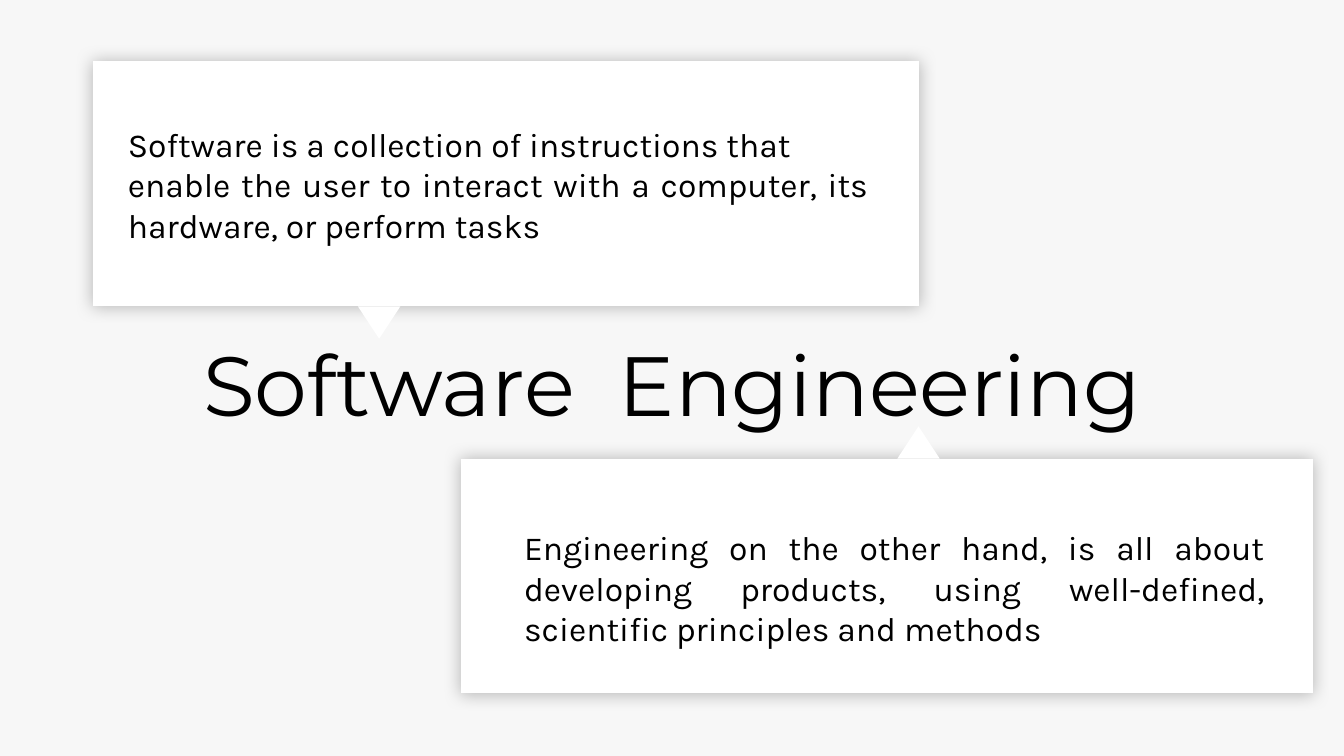
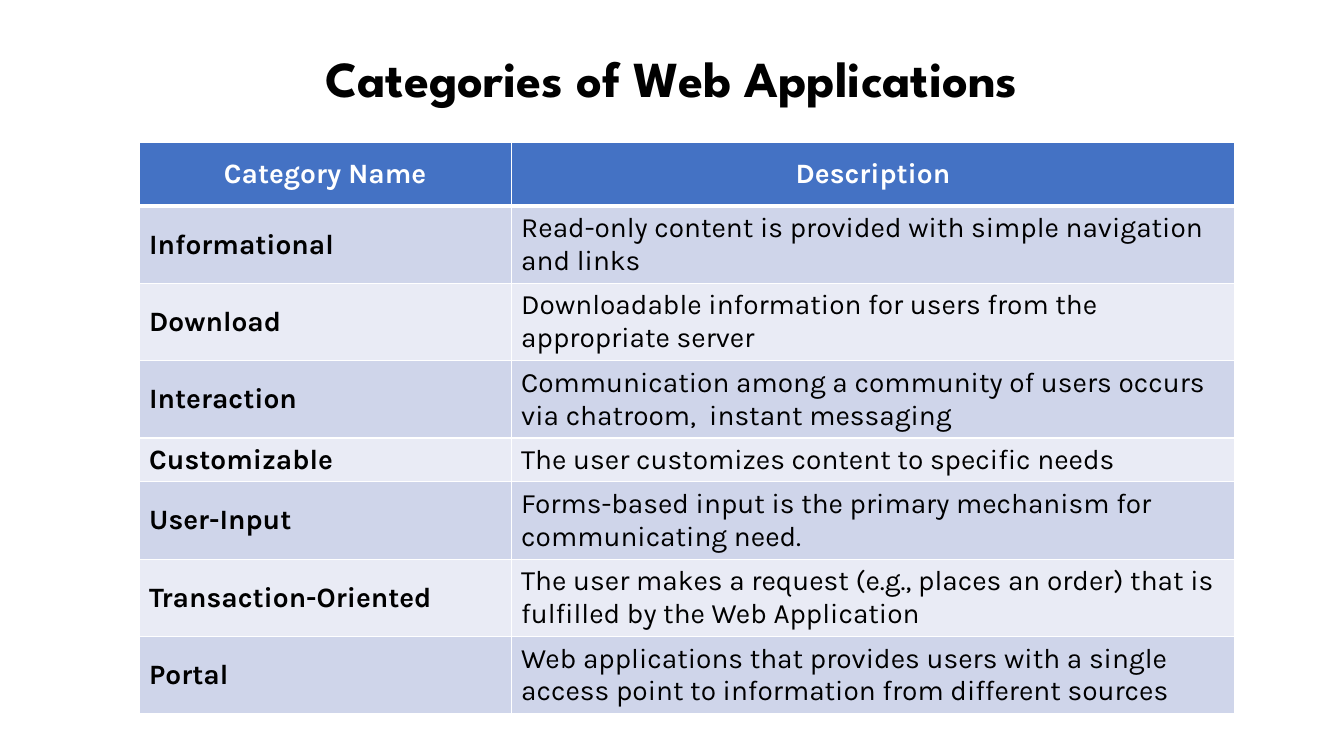
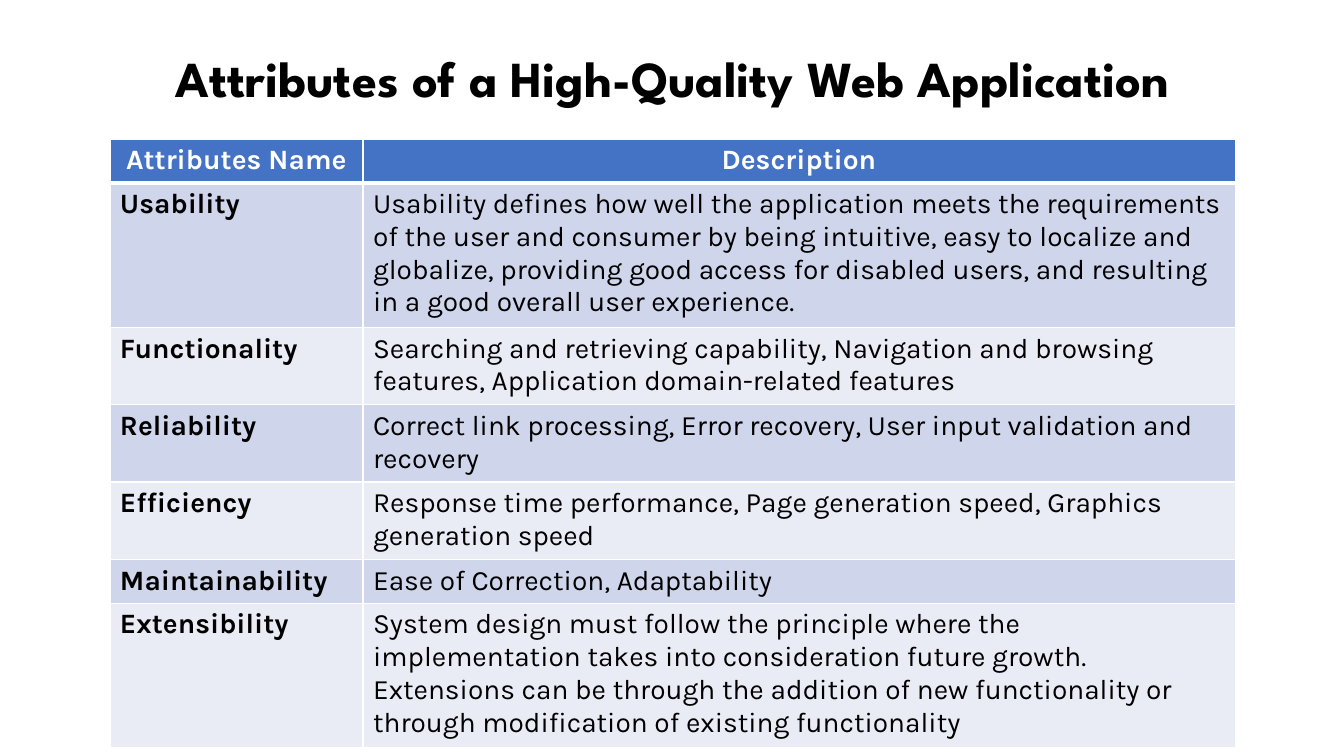
"""Build three slides on software engineering and web applications."""
from lxml import etree
from pptx import Presentation
from pptx import util as u
from pptx.dml import color
from pptx.enum import shapes, text
from pptx.oxml import ns

COLORS = {
    "ink": "000000",
    "paper": "FFFFFF",
    "mist": "F7F7F7",
    "header": "4472C4",
    "band_dark": "CFD5EA",
    "band_light": "E9EBF5",
}
BODY = "Karla"
HEADING = "League Spartan"
DISPLAY = "Montserrat"

CATEGORIES = [
    ("Category Name", "Description"),
    ("Informational", "Read-only content is provided with simple navigation and links"),
    ("Download", "Downloadable information for users from the appropriate server"),
    ("Interaction", "Communication among a community of users occurs via chatroom,  instant messaging"),
    ("Customizable", "The user customizes content to specific needs"),
    ("User-Input", "Forms-based input is the primary mechanism for communicating need."),
    ("Transaction-Oriented", "The user makes a request (e.g., places an order) that is "
     "fulfilled by the Web Application"),
    ("Portal", "Web applications that provides users with a single access point to "
     "information from different sources"),
]

ATTRIBUTES = [
    ("Attributes Name", "Description"),
    ("Usability", "Usability defines how well the application meets the requirements of the "
     "user and consumer by being intuitive, easy to localize and globalize, providing good "
     "access for disabled users, and resulting in a good overall user experience."),
    ("Functionality", "Searching and retrieving capability, Navigation and browsing features, "
     "Application domain-related features"),
    ("Reliability", "Correct link processing, Error recovery, User input validation and recovery"),
    ("Efficiency", "Response time performance, Page generation speed, Graphics generation speed"),
    ("Maintainability", "Ease of Correction, Adaptability"),
    ("Extensibility", "System design must follow the principle where the implementation takes "
     "into consideration future growth. Extensions can be through the addition of new "
     "functionality or through modification of existing functionality"),
]


def rgb(name):
    return color.RGBColor.from_string(COLORS[name])


def inches(values):
    return [u.Inches(value) for value in values]


class Deck:
    def __init__(self):
        self.prs = Presentation()
        self.prs.slide_width, self.prs.slide_height = inches((13.33, 7.5))
        self.slide = None

    def new_slide(self, background="paper"):
        self.slide = self.prs.slides.add_slide(self.prs.slide_layouts[6])
        fill = self.slide.background.fill
        fill.solid()
        fill.fore_color.rgb = rgb(background)

    def style(self, paragraph, size, face, align, bold=False, ink="ink"):
        paragraph.alignment = align
        font = paragraph.font
        font.size, font.name, font.bold = u.Pt(size), face, bold
        font.color.rgb = rgb(ink)

    def words(self, parent, box, lines, size, face, align, bold=False, wrap=True):
        frame = parent.add_textbox(*inches(box)).text_frame
        frame.word_wrap = wrap
        frame.auto_size = text.MSO_AUTO_SIZE.SHAPE_TO_FIT_TEXT
        frame.text = "\n".join(lines)
        for paragraph in frame.paragraphs:
            self.style(paragraph, size, face, align, bold)

    def title(self, wording, box, size=36, face=HEADING, bold=True):
        self.words(self.slide.shapes, box, [wording], size, face,
                   text.PP_ALIGN.CENTER, bold, wrap=False)

    def panel(self, parent, kind, box):
        shape = parent.add_shape(kind, *inches(box))
        shape.shadow.inherit = False
        shape.fill.solid()
        shape.fill.fore_color.rgb = rgb("paper")
        shape.line.fill.background()
        return shape

    def glow(self, shape):
        effects = shape.element.spPr.find(ns.qn("a:effectLst"))
        shadow = etree.SubElement(effects, ns.qn("a:outerShdw"),
                                  blurRad=str(u.Pt(12)), dist="0", dir="0", algn="ctr")
        tint = etree.SubElement(shadow, ns.qn("a:srgbClr"), val=COLORS["ink"])
        etree.SubElement(tint, ns.qn("a:alpha"), val="25000")

    def callout(self, card_box, pointer_left, words_at, lines, points_down):
        _, top, _, height = card_box
        group = self.slide.shapes.add_group_shape().shapes
        self.glow(self.panel(group, shapes.MSO_SHAPE.FLOWCHART_PROCESS, card_box))
        pointer_top = top + height if points_down else top - 0.32
        pointer = self.panel(group, shapes.MSO_SHAPE.ISOSCELES_TRIANGLE,
                             (pointer_left, pointer_top, 0.42, 0.32))
        pointer.rotation = 180 if points_down else 0
        self.words(group, (*words_at, 7.54, 1.31), lines, 24, BODY, text.PP_ALIGN.JUSTIFY)

    def border(self, cell, is_header):
        for side in "LRTB":
            width = 3 if is_header and side == "B" else 1
            line = etree.SubElement(cell._tc.get_or_add_tcPr(), ns.qn(f"a:ln{side}"),
                                    w=str(u.Pt(width)))
            fill = etree.SubElement(line, ns.qn("a:solidFill"))
            etree.SubElement(fill, ns.qn("a:srgbClr"), val=COLORS["paper"])

    def table(self, rows, at, widths, anchor, header_inset=None):
        row_height = 0.41
        size = (sum(widths), row_height * len(rows))
        grid = self.slide.shapes.add_table(len(rows), len(widths), *inches((*at, *size))).table
        grid.horz_banding = False
        for column, width in zip(grid.columns, widths):
            column.width = u.Inches(width)
        for r, entries in enumerate(rows):
            is_header = r == 0
            band = "header" if is_header else "band_dark" if r % 2 else "band_light"
            align = text.PP_ALIGN.CENTER if is_header else text.PP_ALIGN.LEFT
            for c, wording in enumerate(entries):
                cell = grid.cell(r, c)
                self.border(cell, is_header)
                cell.fill.solid()
                cell.fill.fore_color.rgb = rgb(band)
                cell.vertical_anchor = anchor
                if is_header and header_inset:
                    inset = u.Inches(header_inset)
                    cell.margin_left = cell.margin_right = inset
                    cell.margin_top = cell.margin_bottom = inset
                cell.text = wording
                self.style(cell.text_frame.paragraphs[0], 20, BODY, align,
                           bold=is_header or c == 0, ink="paper" if is_header else "ink")


def main():
    deck = Deck()

    deck.new_slide("mist")
    deck.title("Software  Engineering", (1.78, 3.25, 9.77, 1.11), 60, DISPLAY, bold=False)
    deck.callout((0.92, 0.61, 8.2, 2.43), 3.55, (1.17, 1.18),
                 ["Software is a collection of instructions that",
                  "enable the user to interact with a computer, its hardware, or perform tasks"],
                 points_down=True)
    deck.callout((4.57, 4.55, 8.45, 2.33), 8.9, (5.1, 5.18),
                 ["Engineering on the other hand, is all about developing products, using "
                  "well-defined, scientific principles and methods"],
                 points_down=False)

    deck.new_slide()
    deck.title("Categories of Web Applications", (2.69, 0.42, 7.94, 0.71))
    deck.table(CATEGORIES, (1.38, 1.41), (3.69, 7.18), text.MSO_ANCHOR.MIDDLE, 0.15)

    deck.new_slide()
    deck.title("Attributes of a High-Quality Web Application", (1.17, 0.42, 11, 0.71))
    deck.table(ATTRIBUTES, (1.09, 1.38), (2.51, 8.65), text.MSO_ANCHOR.TOP)

    deck.prs.save("out.pptx")


if __name__ == "__main__":
    main()
